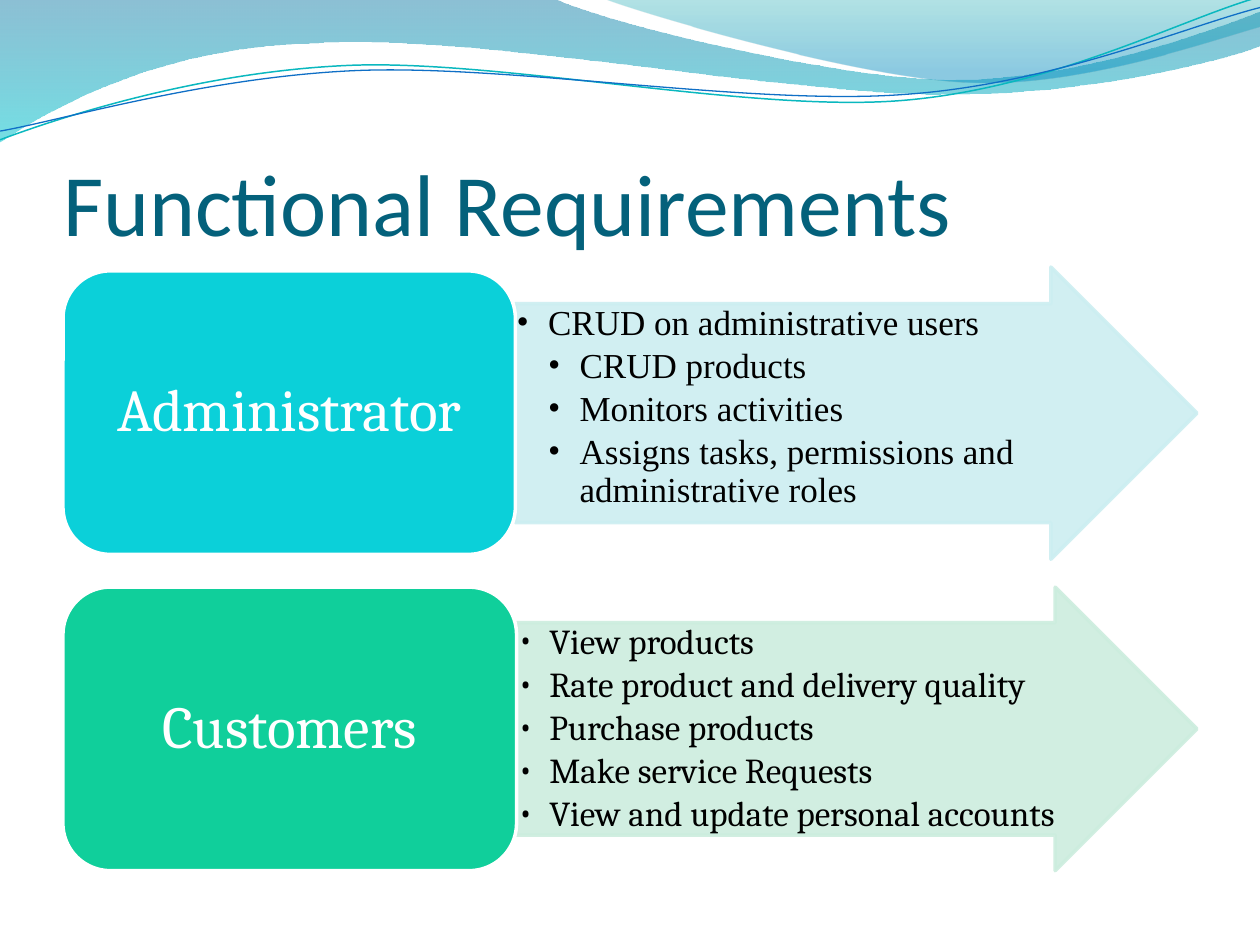
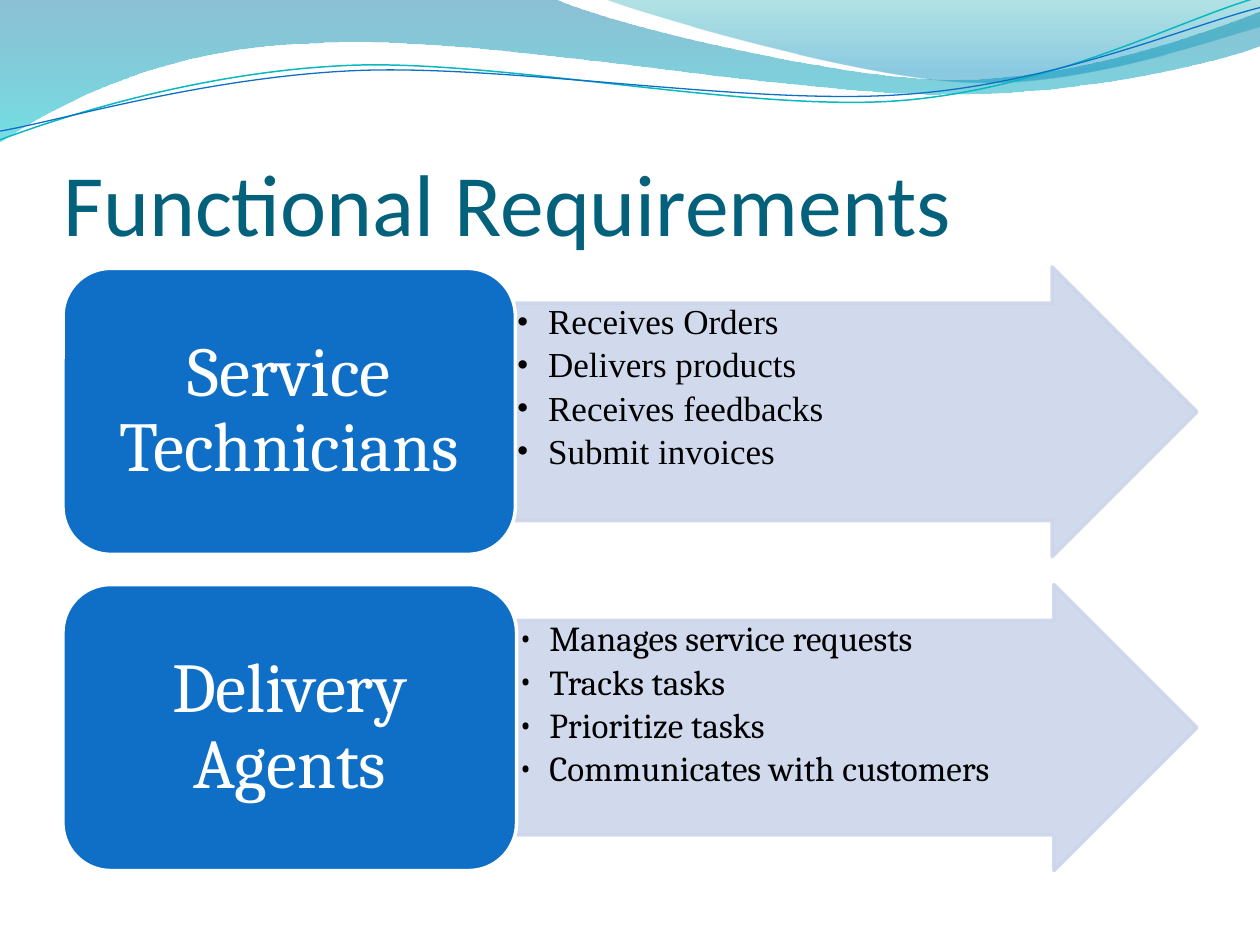
from dataclasses import dataclass

from lxml.etree import SubElement
from pptx import Presentation
from pptx.dml.color import RGBColor
from pptx.enum.shapes import MSO_SHAPE
from pptx.enum.text import MSO_ANCHOR, MSO_AUTO_SIZE, PP_ALIGN
from pptx.oxml.ns import qn
from pptx.util import Pt

BLACK = RGBColor(0x00, 0x00, 0x00)
WHITE = RGBColor(0xFF, 0xFF, 0xFF)
TITLE_TEAL = RGBColor(0x04, 0x61, 0x7B)
CYAN = RGBColor(0x0B, 0xD0, 0xD9)
PALE_CYAN = RGBColor(0xCC, 0xEE, 0xF1)
GREEN = RGBColor(0x10, 0xCF, 0x9B)
PALE_GREEN = RGBColor(0xCC, 0xED, 0xDE)
BLUE = RGBColor(0x0F, 0x6F, 0xC6)
PALE_BLUE = RGBColor(0xCC, 0xD5, 0xEA)
LINE_TEAL = RGBColor(0x0A, 0xB8, 0xBF)
BAND_BLUE = RGBColor(0x00, 0x74, 0xA1)
BAND_CYAN = RGBColor(0x00, 0xC6, 0xCF)
CREST_TEAL = RGBColor(0x00, 0xA1, 0xA9)
CREST_BLUE = RGBColor(0x00, 0x8B, 0xBF)

SERIF = "Cambria"
TIMES = "Times New Roman"
LEFT, RIGHT = 36, 684

BAND = [
    [(0, 0)],
    [(316.8, -0.7)],
    [(342.7, 12.2), (478.1, 45.4), (545.8, 45.4)],
    [(614.2, 45.4), (689.8, 18.7), (720, 6.5)],
    [(720.7, 25.9)],
    [(707.8, 31.7), (626.4, 54.7), (537.1, 54)],
    [(447.8, 54), (275, 20.2), (185, 24.5)],
    [(92.9, 25.9), (33.1, 59.8), (-0.7, 81.4)],
]
CREST = [
    [(344.9, -0.7)],
    [(366.5, 7.9), (491, 44.6), (553.7, 46.8)],
    [(616.3, 49.7), (691.9, 23), (720, 15.1)],
    [(720, 0)],
]
TEAL_STRAND = [
    [(0, 79.9)],
    [(34.6, 67), (113.8, 41), (199.4, 37.4)],
    [(284.4, 33.8), (427, 64.1), (513.4, 57.6)],
    [(599.8, 51.1), (675.4, 10.8), (718.6, -1.4)],
]
BLUE_STRAND = [
    [(0, 74.9)],
    [(33.8, 69.1), (118.1, 43.9), (203.8, 40.3)],
    [(290.2, 36.7), (429.8, 60.5), (516.2, 54)],
    [(601.9, 48.2), (677.5, 15.1), (720, 4.3)],
]


@dataclass
class Role:
    name: str
    tasks: list
    color: RGBColor
    pale_color: RGBColor
    box_top: float
    box_height: float
    arrow_top: float
    arrow_height: float
    arrow_left: float
    task_font: str
    name_size: int
    subtasks: tuple = ()


ADMINISTRATOR = Role(
    "Administrator", ["CRUD on administrative users"], CYAN, PALE_CYAN,
    154.8, 162, 152.6, 167, 294.5, TIMES, 34,
    ("CRUD products", "Monitors activities",
     "Assigns tasks, permissions and administrative roles"))
CUSTOMERS = Role(
    "Customers",
    ["View products", "Rate product and delivery quality", "Purchase products",
     "Make service Requests", "View and update personal accounts"],
    GREEN, PALE_GREEN, 335.5, 162, 335.5, 162, 295.2, SERIF, 34)
TECHNICIANS = Role(
    "Service Technicians",
    ["Receives Orders", "Delivers products", "Receives feedbacks", "Submit invoices"],
    BLUE, PALE_BLUE, 153.4, 163.4, 152.6, 165.6, 294.5, TIMES, 40)
AGENTS = Role(
    "Delivery Agents",
    ["Manages service requests", "Tracks tasks", "Prioritize tasks",
     "Communicates with customers"],
    BLUE, PALE_BLUE, 334.1, 163.4, 334.1, 163.4, 295.2, SERIF, 40)


def set_opacities(shape, opacities):
    colors = shape.element.spPr.iter(qn("a:srgbClr"))
    for color, opacity in zip(list(colors), opacities):
        SubElement(color, qn("a:alpha"), val=str(opacity * 1000))


def set_margins(text_frame, horizontal, vertical):
    text_frame.margin_left = text_frame.margin_right = Pt(horizontal)
    text_frame.margin_top = text_frame.margin_bottom = Pt(vertical)


def style_font(paragraph, name, size, color):
    paragraph.font.name = name
    paragraph.font.size = Pt(size)
    paragraph.font.color.rgb = color


def bend_lines(shape, segments):
    lines = iter(list(shape.element.spPr.iter(qn("a:lnTo"))))
    for segment in segments[1:]:
        first_line = next(lines)
        if len(segment) == 3:
            first_line.tag = qn("a:cubicBezTo")
            for _ in range(2):
                line = next(lines)
                first_line.append(line[0])
                line.getparent().remove(line)


def add_curve(slide, segments, closed):
    points = [(Pt(x), Pt(y)) for segment in segments for x, y in segment]
    builder = slide.shapes.build_freeform(*points[0])
    builder.add_line_segments(points[1:], close=closed)
    shape = builder.convert_to_shape()
    shape.shadow.inherit = False
    return shape


def add_wave(slide, segments, stops):
    wave = add_curve(slide, segments, True)
    bend_lines(wave, segments)
    wave.line.fill.background()
    wave.fill.gradient()
    wave.fill.gradient_angle = 270
    for stop, (position, color, opacity) in zip(wave.fill.gradient_stops, stops):
        stop.position = position
        stop.color.rgb = color
    set_opacities(wave, [opacity for position, color, opacity in stops])
    return wave


def add_strand(slide, segments, color, width):
    strand = add_curve(slide, segments, False)
    bend_lines(strand, segments)
    strand.fill.background()
    strand.line.color.rgb = color
    strand.line.width = Pt(width)
    return strand


def decorate_layout(layout, slide):
    decorations = [
        add_wave(slide, BAND, [(0, BAND_BLUE, 45), (1, BAND_CYAN, 55)]),
        add_wave(slide, CREST, [(0, CREST_TEAL, 30), (0.8, CREST_BLUE, 45)]),
        add_strand(slide, TEAL_STRAND, LINE_TEAL, 0.85),
        add_strand(slide, BLUE_STRAND, BLUE, 0.75),
    ]
    for decoration in decorations:
        layout.shapes.element.append(decoration.element)


def set_title(slide, text):
    title = slide.shapes.title
    title.left, title.top, title.width, title.height = Pt(36), Pt(55.4), Pt(648), Pt(90)
    text_frame = title.text_frame
    text_frame.text = text
    text_frame.auto_size = MSO_AUTO_SIZE.NONE
    text_frame.vertical_anchor = MSO_ANCHOR.BOTTOM
    set_margins(text_frame, 0, 0)
    text_frame.margin_top = Pt(3.6)
    paragraph = text_frame.paragraphs[0]
    paragraph.alignment = PP_ALIGN.LEFT
    style_font(paragraph, "Calibri", 50, TITLE_TEAL)


def add_block(slide, kind, left, top, width, height, fill_color, line_color):
    shape = slide.shapes.add_shape(kind, Pt(left), Pt(top), Pt(width), Pt(height))
    shape.shadow.inherit = False
    shape.fill.solid()
    shape.fill.fore_color.rgb = fill_color
    shape.line.color.rgb = line_color
    shape.line.width = Pt(2)
    shape.text_frame.word_wrap = True
    return shape


def format_bullet(paragraph, level, font_name):
    paragraph.level = level
    paragraph.alignment = PP_ALIGN.LEFT
    paragraph.line_spacing = 0.9
    paragraph.space_after = Pt(3.1)
    properties = paragraph._p.get_or_add_pPr()
    properties.set("marL", str(Pt(18 * level)))
    properties.set("indent", str(Pt(-18)))
    SubElement(properties, qn("a:buFont"), typeface=font_name)
    SubElement(properties, qn("a:buChar"), char="•")
    style_font(paragraph, font_name, 20, BLACK)


def add_task_arrow(slide, role):
    arrow = add_block(slide, MSO_SHAPE.RIGHT_ARROW, role.arrow_left, role.arrow_top,
                      RIGHT - role.arrow_left, role.arrow_height,
                      role.pale_color, role.pale_color)
    arrow.adjustments[0] = 0.75
    arrow.adjustments[1] = 0.5
    set_opacities(arrow, [90, 90])
    text_frame = arrow.text_frame
    text_frame.vertical_anchor = MSO_ANCHOR.TOP
    set_margins(text_frame, 0.7, 0.7)
    text_frame.text = "\n".join([*role.tasks, *role.subtasks])
    for index, paragraph in enumerate(text_frame.paragraphs):
        level = 1 if index < len(role.tasks) else 2
        format_bullet(paragraph, level, role.task_font)


def add_name_box(slide, role):
    box = add_block(slide, MSO_SHAPE.ROUNDED_RECTANGLE, LEFT, role.box_top,
                    role.arrow_left - LEFT, role.box_height, role.color, WHITE)
    text_frame = box.text_frame
    text_frame.text = role.name
    text_frame.vertical_anchor = MSO_ANCHOR.MIDDLE
    set_margins(text_frame, role.name_size * 0.3, role.name_size * 0.15)
    paragraph = text_frame.paragraphs[0]
    paragraph.alignment = PP_ALIGN.CENTER
    paragraph.line_spacing = 0.9
    style_font(paragraph, SERIF, role.name_size, WHITE)


def add_requirements_slide(presentation, layout, roles):
    slide = presentation.slides.add_slide(layout)
    set_title(slide, "Functional Requirements")
    for role in roles:
        add_task_arrow(slide, role)
        add_name_box(slide, role)
    return slide


def main():
    presentation = Presentation()
    presentation.slide_width = Pt(720)
    presentation.slide_height = Pt(540)
    layout = presentation.slide_layouts[5]
    first_slide = add_requirements_slide(presentation, layout, [ADMINISTRATOR, CUSTOMERS])
    decorate_layout(layout, first_slide)
    add_requirements_slide(presentation, layout, [TECHNICIANS, AGENTS])
    presentation.save("out.pptx")


if __name__ == "__main__":
    main()
